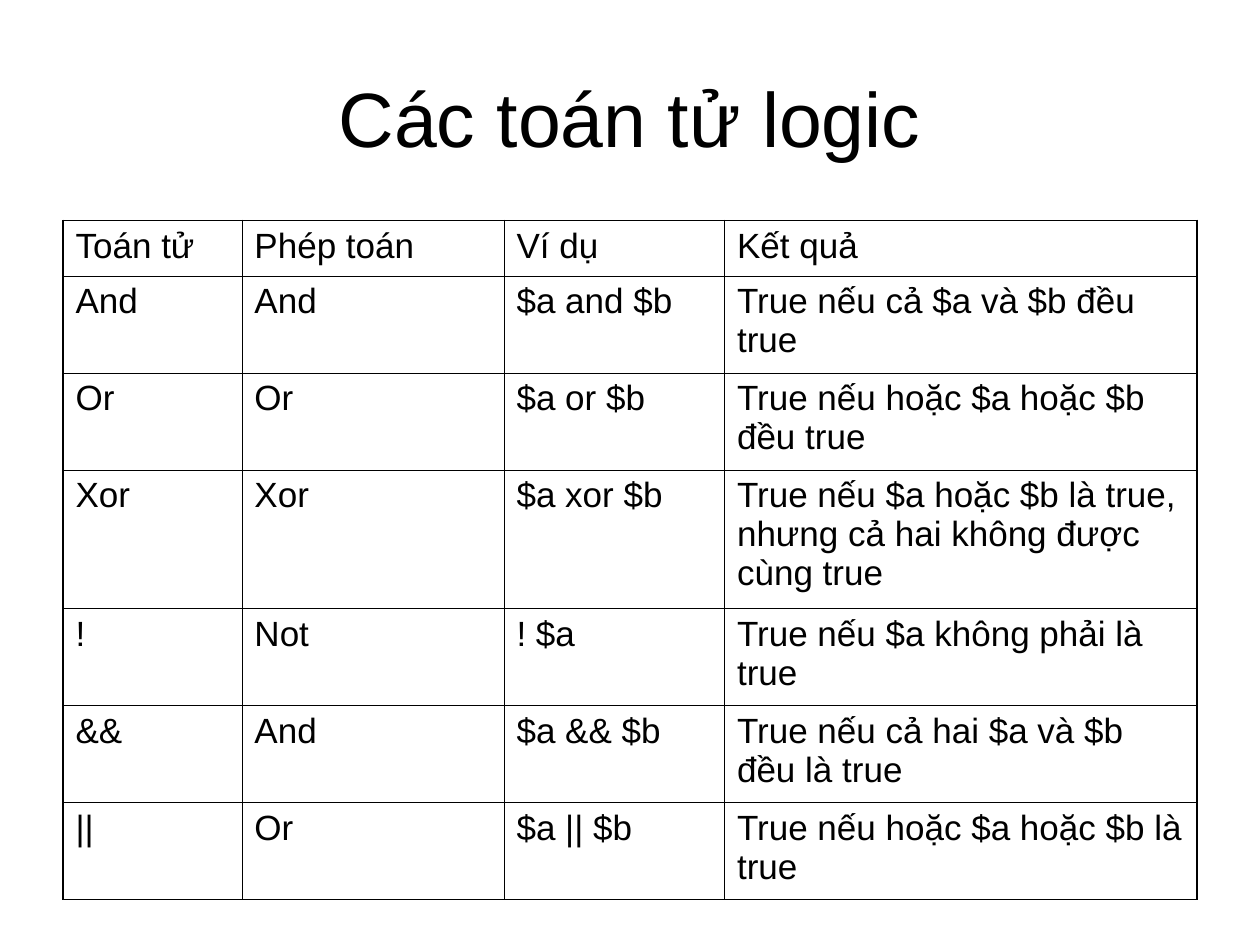
"""Build a slide with a table of the logical operators."""
from lxml.etree import SubElement
from pptx import Presentation
from pptx.dml.color import RGBColor
from pptx.enum.text import MSO_ANCHOR, PP_ALIGN
from pptx.oxml.ns import qn
from pptx.util import Inches, Pt

COLORS = {"text": "000000", "border": "000000"}
THIN, THICK = Pt(0.45), Pt(1.08)
COLUMN_WIDTHS = [1.42, 2.08, 1.75, 3.75]
HEADER_HEIGHT, PADDING, LINE_HEIGHT = 0.44, 0.13, 0.32
OPERATORS = [
    ("Toán tử", "Phép toán", "Ví dụ", "Kết quả", 1),
    ("And", "And", "$a and $b", "True nếu cả $a và $b đều true", 2),
    ("Or", "Or", "$a or $b", "True nếu hoặc $a hoặc $b đều true", 2),
    ("Xor", "Xor", "$a xor $b",
     "True nếu $a hoặc $b là true, nhưng cả hai không được cùng true", 3),
    ("!", "Not", "! $a", "True nếu $a không phải là true", 2),
    ("&&", "And", "$a && $b", "True nếu cả hai $a và $b đều là true", 2),
    ("||", "Or", "$a || $b", "True nếu hoặc $a hoặc $b là true", 2),
]


def write(paragraph, text, size):
    span = paragraph.add_run()
    span.text = text
    for name, value in {"name": "Arial", "size": Pt(size), "bold": False}.items():
        setattr(span.font, name, value)
    span.font.color.rgb = RGBColor.from_string(COLORS["text"])


def add_border(cell, side, width):
    line = SubElement(cell._tc.get_or_add_tcPr(), qn(f"a:ln{side}"), w=str(int(width)))
    fill = SubElement(line, qn("a:solidFill"))
    SubElement(fill, qn("a:srgbClr"), val=COLORS["border"])


deck = Presentation()
deck.slide_width, deck.slide_height = Inches(10), Inches(7.5)
page = deck.slides.add_slide(deck.slide_layouts[6])
margin = int(deck.slide_width * 0.05)
content_width = int(deck.slide_width * 0.9)

title = page.shapes.add_textbox(
    margin, int(deck.slide_height * 0.04), content_width, Inches(1.25)
)
title.text_frame.word_wrap = True
title.text_frame.vertical_anchor = MSO_ANCHOR.MIDDLE
heading = title.text_frame.paragraphs[0]
heading.alignment = PP_ALIGN.CENTER
write(heading, "Các toán tử logic", 44)

heights = [HEADER_HEIGHT] + [PADDING + LINE_HEIGHT * row[-1] for row in OPERATORS[1:]]
last_row, last_column = len(OPERATORS) - 1, len(COLUMN_WIDTHS) - 1
table = page.shapes.add_table(
    len(OPERATORS), len(COLUMN_WIDTHS), margin, Inches(1.75),
    content_width, Inches(sum(heights)),
).table
table.first_row = table.horz_banding = False
for column, width in zip(table.columns, COLUMN_WIDTHS):
    column.width = Inches(width)
for row, height in zip(table.rows, heights):
    row.height = Inches(height)

for row_index, (*texts, _) in enumerate(OPERATORS):
    for column_index, text in enumerate(texts):
        cell = table.cell(row_index, column_index)
        outer_sides = {
            "L": column_index == 0,
            "R": column_index == last_column,
            "T": row_index == 0,
            "B": row_index == last_row,
        }
        for side, is_outer in outer_sides.items():
            add_border(cell, side, THICK if is_outer else THIN)
        cell.fill.background()
        paragraph = cell.text_frame.paragraphs[0]
        paragraph.space_before = Pt(5)
        write(paragraph, text, 20)

deck.save("out.pptx")
